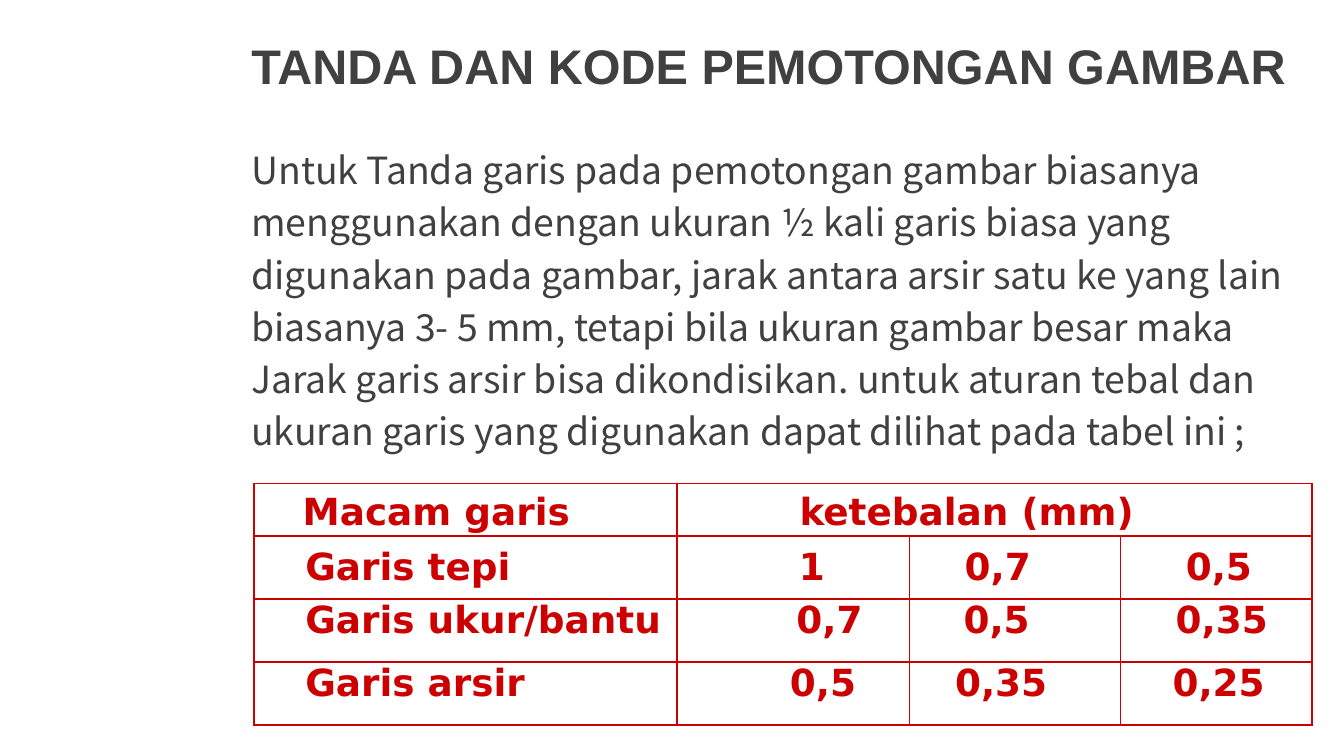
from lxml.etree import SubElement as Sub, Element as Elem
from pptx import Presentation
from pptx.dml.color import RGBColor as RGB
from pptx.enum.text import MSO_ANCHOR as Anchor
from pptx.oxml.ns import qn
from pptx.util import Cm, Pt

COLORS = {"text": "404040", "red": "CC0000"}
TITLE = "TANDA DAN KODE PEMOTONGAN GAMBAR"
BODY = [
    "Untuk Tanda garis pada pemotongan gambar biasanya",
    "menggunakan dengan ukuran ½ kali garis biasa yang",
    "digunakan pada gambar, jarak antara arsir satu ke yang lain",
    "biasanya 3- 5 mm, tetapi bila ukuran gambar besar maka",
    "Jarak garis arsir bisa dikondisikan. untuk aturan tebal dan",
    "ukuran garis yang digunakan dapat dilihat pada tabel ini ;",
]
WIDTHS = [8, 4.39, 3.99, 3.61]
ROWS = [
    (0.99, 27.4, [("Macam garis", 0.92), ("ketebalan (mm)", 2.31)]),
    (1.19, 28.8, [("Garis tepi", 0.97), ("1", 2.3), ("0,7", 1.04), ("0,5", 1.23)]),
    (1.19, None, [("Garis ukur/bantu", 0.97), ("0,7", 2.25), ("0,5", 1.02), ("0,35", 1.04)]),
    (1.19, None, [("Garis arsir", 0.97), ("0,5", 2.13), ("0,35", 0.86), ("0,25", 0.98)]),
]


def style(para, face, size, color, bold=False):
    for run in para.runs:
        font = run.font
        font.name, font.size, font.bold = face, Pt(size), bold
        font.color.rgb = RGB.from_string(COLORS[color])


def add_text(slide, box, lines, face, size, bold=False, pitch=None):
    frame = slide.shapes.add_textbox(*map(Cm, box)).text_frame
    frame.word_wrap = True
    frame.vertical_anchor = Anchor.MIDDLE
    frame.margin_top = frame.margin_bottom = 0
    frame.text = "\n".join(lines)
    for para in frame.paragraphs:
        if pitch:
            para.line_spacing = Pt(pitch)
        style(para, face, size, "text", bold)


def add_border(cell):
    props = cell._tc.get_or_add_tcPr()
    for i, side in enumerate("LRTB"):
        line = Elem(qn("a:ln" + side), w=str(Pt(1)))
        fill = Sub(line, qn("a:solidFill"))
        Sub(fill, qn("a:srgbClr"), val=COLORS["red"])
        props.insert(i, line)


def fill_cell(cell, text, indent, pitch):
    cell.margin_left = Cm(indent)
    cell.text_frame.text = text
    para = cell.text_frame.paragraphs[0]
    if pitch:
        para.line_spacing = Pt(pitch)
    style(para, "DejaVu Sans", 20, "red", True)


def add_grid(slide, left, top):
    high = sum(row[0] for row in ROWS)
    box = map(Cm, (left, top, sum(WIDTHS), high))
    table = slide.shapes.add_table(len(ROWS), len(WIDTHS), *box).table
    table.first_row = table.horz_banding = False
    for col, width in zip(table.columns, WIDTHS):
        col.width = Cm(width)
    for cell in table.iter_cells():
        cell.margin_left = cell.margin_right = 0
        cell.margin_top = cell.margin_bottom = 0
        cell.fill.background()
        add_border(cell)
    table.cell(0, 1).merge(table.cell(0, 3))
    for r, (height, pitch, items) in enumerate(ROWS):
        table.rows[r].height = Cm(height)
        for c, (text, indent) in enumerate(items):
            fill_cell(table.cell(r, c), text, indent, pitch)


def main():
    deck = Presentation()
    deck.slide_width, deck.slide_height = Cm(25.4), Cm(14.29)
    slide = deck.slides.add_slide(deck.slide_layouts[6])
    add_text(slide, (4.5, 0, 20.9, 2.46), [TITLE], "Arial", 26, bold=True)
    add_text(slide, (4.5, 2.64, 20.6, 5.93), BODY, "Noto Sans CJK KR", 20, pitch=28)
    add_grid(slide, 4.8, 9.14)
    deck.save("out.pptx")


if __name__ == "__main__":
    main()
